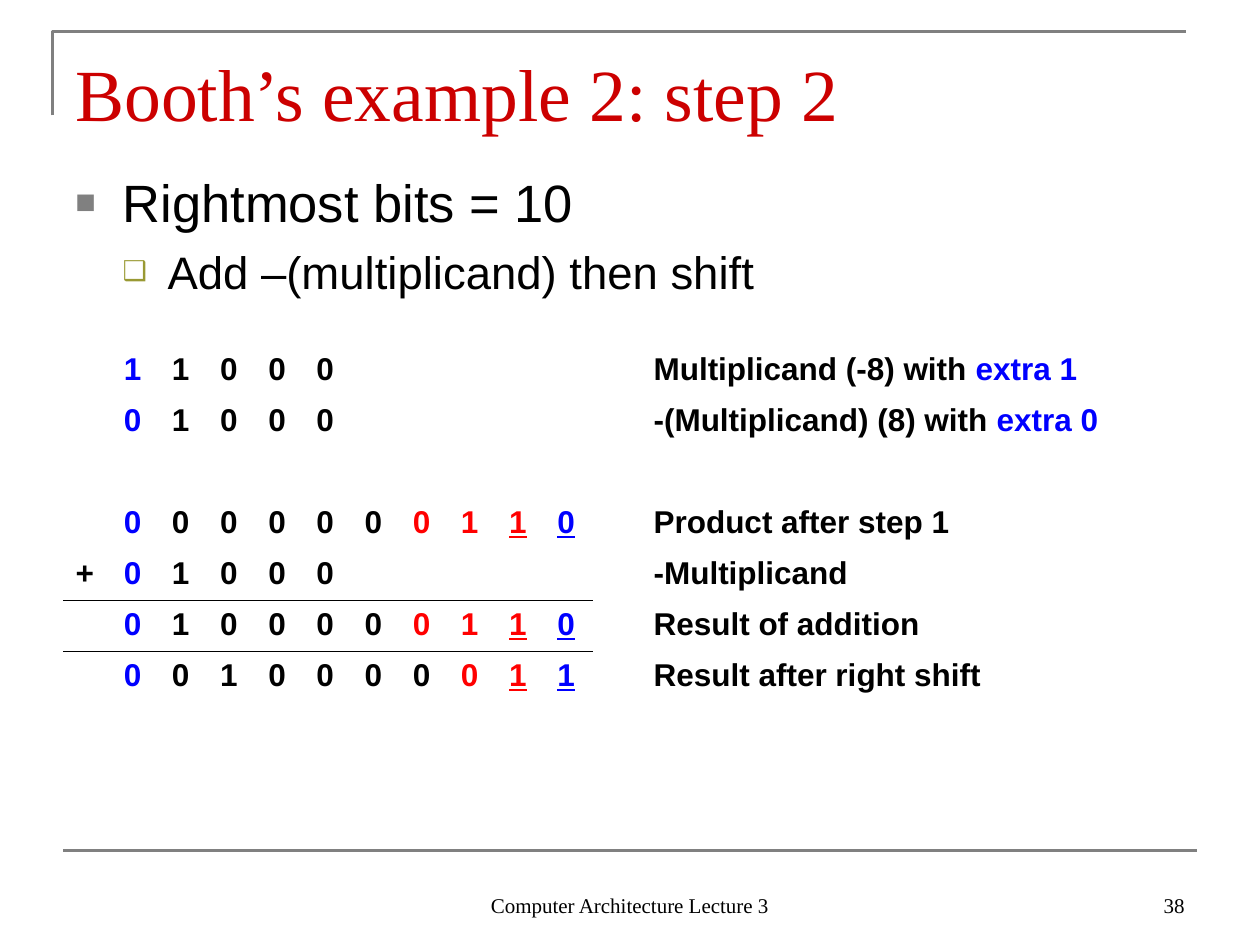
import lxml.etree
import pptx
import pptx.dml.color
import pptx.enum.shapes
import pptx.enum.text
import pptx.oxml.ns
import pptx.util

Pt = pptx.util.Pt
qn = pptx.oxml.ns.qn
ALIGN = pptx.enum.text.PP_ALIGN
ANCHOR = pptx.enum.text.MSO_ANCHOR
BLACK, BLUE, RED, GREY = "000000", "0000FF", "FF0000", "808080"
SERIF, SANS = "Times New Roman", "Arial"
PLAIN = "{2D5ABB26-0587-4C30-8999-92F81FD0307C}"  # no style, no grid

BITS = 10
# sign, bits, first red bit, label runs
STEPS = [
    ("", "11000", BITS, [("Multiplicand (-8) with ", BLACK), ("extra 1", BLUE)]),
    ("", "01000", BITS, [("-(Multiplicand) (8) with ", BLACK), ("extra 0", BLUE)]),
    ("", "", BITS, []),
    ("", "0000000110"[:0] + "0000000110", 6, [("Product after step 1", BLACK)]),
    ("+", "01000", BITS, [("-Multiplicand", BLACK)]),
    ("", "0100000110", 6, [("Result of addition", BLACK)]),
    ("", "0010000011", 7, [("Result after right shift", BLACK)]),
]
STEPS[3] = ("", "0000000110", 6, STEPS[3][3])
SUM = 4  # row above the sum line


def color(code):
    return pptx.dml.color.RGBColor.from_string(code)


def node(parent, tag, **attrs):
    return lxml.etree.SubElement(parent, qn(tag), attrs)


def add_run(para, text, size, code, face=SANS, bold=False, under=False):
    run = para.add_run()
    run.text = text
    font = run.font
    font.name, font.size, font.bold = face, Pt(size), bold
    font.underline = under
    font.color.rgb = color(code)


def add_box(slide, left, top, width, height, anchor=ANCHOR.BOTTOM):
    box = slide.shapes.add_textbox(Pt(left), Pt(top), Pt(width), Pt(height))
    frame = box.text_frame
    frame.word_wrap = True
    frame.vertical_anchor = anchor
    return frame


def add_frame(slide):
    """Draw the corner rule at the top and the rule above the footer."""
    path = slide.shapes.build_freeform(Pt(30), Pt(66), scale=1.0)
    path.add_line_segments([(Pt(30), Pt(18)), (Pt(678), Pt(18))], close=False)
    corner = path.convert_to_shape()
    corner.shadow.inherit = False
    corner.fill.background()
    rule = slide.shapes.add_connector(
        pptx.enum.shapes.MSO_CONNECTOR.STRAIGHT, Pt(36), Pt(486), Pt(684), Pt(486))
    node(rule._element.spPr, "a:effectLst")
    for shape in (corner, rule):
        shape.line.color.rgb = color(GREY)
        shape.line.width = Pt(1.5)


def add_bullet(para, mark, code, scale, left, hang):
    props = para._p.get_or_add_pPr()
    props.set("marL", str(Pt(left)))
    props.set("indent", str(-Pt(hang)))
    node(node(props, "a:buClr"), "a:srgbClr", val=code)
    node(props, "a:buSzPct", val=str(scale * 1000))
    node(props, "a:buFont", typeface=SANS)
    node(props, "a:buChar", char=mark)


def add_edge(cell, tag):
    line = lxml.etree.Element(qn(tag), w=str(Pt(0.45)))
    node(node(line, "a:solidFill"), "a:srgbClr", val=BLACK)
    cell._tc.get_or_add_tcPr().insert(0, line)


def bit_color(pos, red):
    if pos in (0, BITS - 1):
        return BLUE
    return RED if pos >= red else BLACK


def add_steps(slide):
    count, step, high = BITS + 3, 27.54, 29.2
    last = count - 1
    shape = slide.shapes.add_table(
        len(STEPS), count, Pt(36), Pt(197.3), Pt(620), Pt(high * len(STEPS)))
    table = shape.table
    table.first_row = table.horz_banding = False
    table._tbl.tblPr.find(qn("a:tableStyleId")).text = PLAIN
    for col in table.columns:
        col.width = Pt(step)
    table.columns[last].width = Pt(289.5)
    for row, (sign, bits, red, label) in enumerate(STEPS):
        table.rows[row].height = Pt(high)
        for col in range(count):
            cell = table.cell(row, col)
            cell.fill.background()
            cell.text_frame.paragraphs[0].font.size = Pt(18)
            if col <= BITS and row in (SUM, SUM + 1):
                add_edge(cell, "a:lnB" if row == SUM else "a:lnT")
        paras = [table.cell(row, col).text_frame.paragraphs[0] for col in range(count)]
        if sign:
            add_run(paras[0], sign, 18, BLACK, bold=True)
        for pos, bit in enumerate(bits):
            add_run(paras[pos + 1], bit, 18, bit_color(pos, red),
                    bold=True, under=pos >= BITS - 2)
        for text, code in label:
            add_run(paras[last], text, 18, code, bold=True)


def add_body(slide):
    frame = add_box(slide, 36, 90, 648, 84, ANCHOR.TOP)
    frame.margin_top = Pt(7)
    para = frame.paragraphs[0]
    add_bullet(para, "■", GREY, 65, 27, 27)
    add_run(para, "Rightmost bits = 10", 30, BLACK)
    para = frame.add_paragraph()
    para.level = 1
    add_bullet(para, "❑", "999933", 60, 52.7, 25.7)
    para.space_before = Pt(6.5)
    add_run(para, "Add –(multiplicand) then shift", 26, BLACK)


def add_foot(slide, left, width, text, align):
    para = add_box(slide, left, 492, width, 36).paragraphs[0]
    para.alignment = align
    add_run(para, text, 12, BLACK, SERIF)


def main():
    deck = pptx.Presentation()
    deck.slide_width, deck.slide_height = Pt(720), Pt(540)
    slide = deck.slides.add_slide(deck.slide_layouts[6])
    add_frame(slide)
    title = add_box(slide, 36, 21.6, 648, 56.2)
    title.margin_bottom = 0
    add_run(title.paragraphs[0], "Booth’s example 2: step 2", 42, "CC0000", SERIF)
    add_body(slide)
    add_foot(slide, 246, 228, "Computer Architecture Lecture 3", ALIGN.CENTER)
    add_foot(slide, 516, 168, "38", ALIGN.RIGHT)
    add_steps(slide)
    deck.save("out.pptx")


if __name__ == "__main__":
    main()
